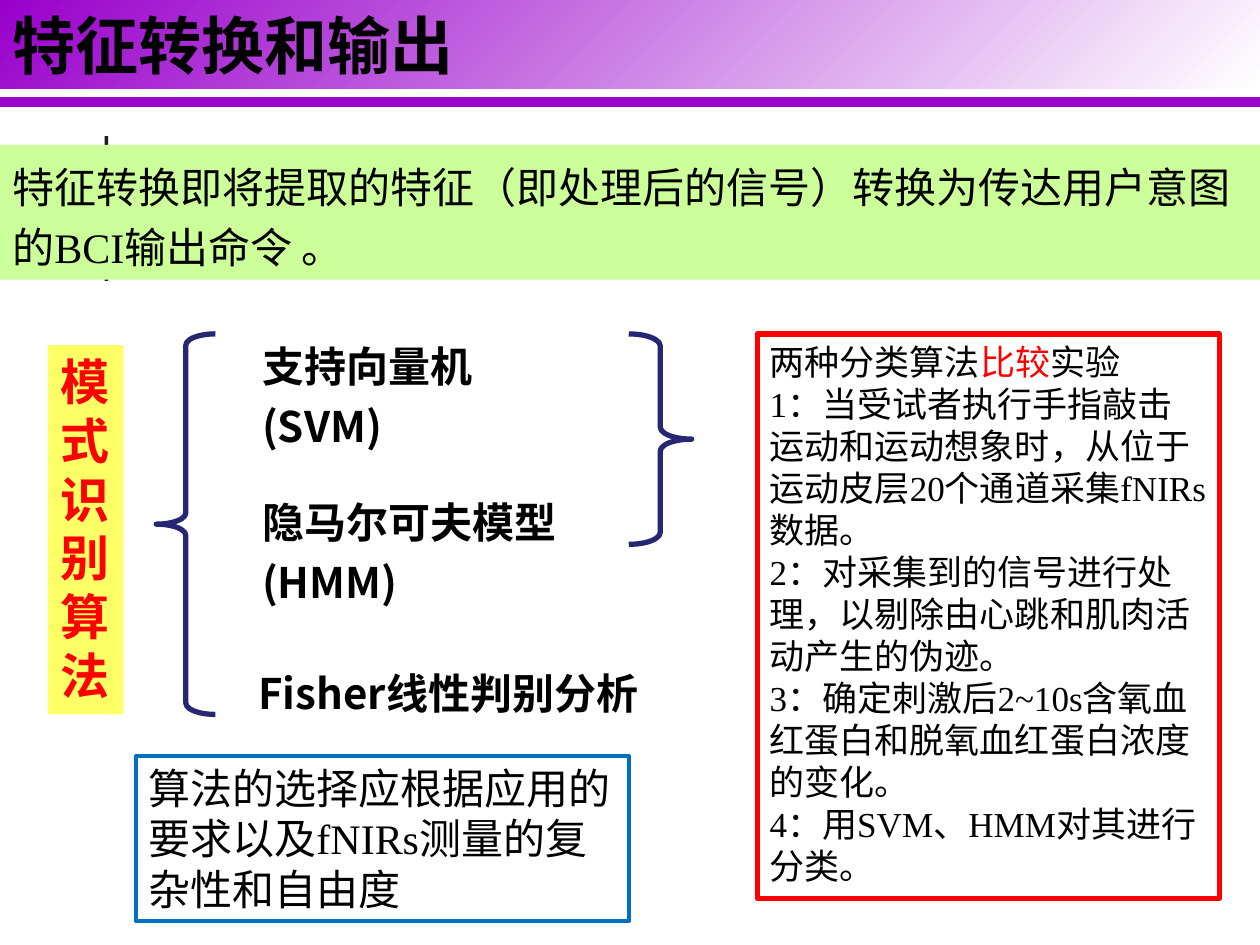
from lxml import etree
from pptx import Presentation
from pptx.dml.color import RGBColor
from pptx.enum.shapes import MSO_CONNECTOR as Connector, MSO_SHAPE as Shape
from pptx.enum.text import MSO_ANCHOR as Anchor, PP_ALIGN as Align
from pptx.oxml.ns import qn
from pptx.util import Inches, Pt

COLORS = {
    "black": "000000", "red": "FF0000", "purple": "9900CC", "white": "FFFFFF",
    "green": "CCFF99", "yellow": "FFFF66", "navy": "262673", "blue": "0070C0",
    "charcoal": "1C1C1C",
}
SERIF, SANS, ROBOTO = "Times New Roman", "Noto Sans CJK SC", "Roboto"

TITLE = "特征转换和输出"
DEFINITION = "特征转换即将提取的特征（即处理后的信号）转换为传达用户意图的BCI输出命令 。"
CATEGORY = "模式识别算法"
ALGORITHMS = [
    (1.93, 2.54, 1.02, ["支持向量机", "(SVM)"]),
    (1.93, 3.78, 0.75, ["隐马尔可夫模型", "(HMM)"]),
    (1.9, 5.14, 0.74, ["Fisher线性判别分析"]),
]
CHOICE = [[
    ("算法的选择应根据应用的要求以及", {"name": ROBOTO}),
    ("fNIRs", {"name": SERIF}),
    ("测量的复杂性和自由度", {"name": ROBOTO}),
]]
EXPERIMENT = [
    [("两种分类算法", {}), ("比较", {"color": "red"}), ("实验", {})],
    "1：当受试者执行手指敲击运动和运动想象时，从位于运动皮层20个通道采集fNIRs数据。",
    "2：对采集到的信号进行处理，以剔除由心跳和肌肉活动产生的伪迹。",
    "3：确定刺激后2~10s含氧血红蛋白和脱氧血红蛋白浓度的变化。",
    "4：用SVM、HMM对其进行分类。",
]
BRACES = [(1.24, 2.65, 0.47, 3.02, 0), (4.99, 2.65, 0.5, 1.67, 180)]


def rgb(name):
    return RGBColor.from_string(COLORS[name])


def add_box(slide, place, fill=None, line=None, width=0, kind=Shape.RECTANGLE):
    box = slide.shapes.add_shape(kind, *map(Inches, place))
    box.shadow.inherit = False
    if fill:
        box.fill.solid()
        box.fill.fore_color.rgb = rgb(fill)
    else:
        box.fill.background()
    if line:
        box.line.color.rgb = rgb(line)
        box.line.width = Pt(width)
    else:
        box.line.fill.background()
    return box


def write(box, paragraphs, size, name=SERIF, color="black", bold=False, spacing=None):
    frame = box.text_frame
    frame.word_wrap = True
    frame.vertical_anchor = Anchor.TOP
    for index, content in enumerate(paragraphs):
        para = frame.add_paragraph() if index else frame.paragraphs[0]
        para.alignment = Align.LEFT
        para.line_spacing = spacing
        para.font.size, para.font.bold = Pt(size), bold
        para.font.name, para.font.color.rgb = name, rgb(color)
        spans = [(content, {})] if isinstance(content, str) else content
        for text, style in spans:
            span = para.add_run()
            span.text = text
            if "name" in style:
                span.font.name = style["name"]
            if "color" in style:
                span.font.color.rgb = rgb(style["color"])


def add_header(slide):
    banner = add_box(slide, (0, 0, 10, 0.7))
    banner.fill.gradient()
    banner.fill.gradient_angle = 315
    for stop, color, position in zip(banner.fill.gradient_stops, ("purple", "white"), (0, 1)):
        stop.color.rgb = rgb(color)
        stop.position = position
    write(banner, [TITLE], 36, bold=True)
    rule = slide.shapes.add_connector(
        Connector.STRAIGHT, Inches(0), Inches(0.81), Inches(10), Inches(0.81))
    rule.line.color.rgb = rgb("purple")
    rule.line.width = Pt(6)
    etree.SubElement(rule.element.spPr, qn("a:effectLst"))


def main():
    deck = Presentation()
    deck.slide_width, deck.slide_height = Inches(10), Inches(7.5)
    slide = deck.slides.add_slide(deck.slide_layouts[6])

    add_box(slide, (0.83, 1.08, 0.03, 1.15), fill="charcoal")
    add_header(slide)
    definition = add_box(slide, (0, 1.15, 10, 1.07), fill="green")
    write(definition, [DEFINITION], 24, spacing=1.2)

    for *place, rotation in BRACES:
        brace = add_box(slide, place, line="navy", width=3, kind=Shape.LEFT_BRACE)
        brace.adjustments[0] = 0.19
        brace.rotation = rotation

    for left, top, height, lines in ALGORITHMS:
        box = slide.shapes.add_textbox(*map(Inches, (left, top, 3.78, height)))
        frame = box.text_frame
        frame.margin_left = frame.margin_right = Inches(0.15)
        frame.margin_top = frame.margin_bottom = Inches(0.08)
        write(box, lines, 24, name=SANS, bold=True, spacing=1.2)

    category = add_box(slide, (0.38, 2.74, 0.6, 2.93), fill="yellow")
    write(category, [CATEGORY], 28, color="red", bold=True)
    choice = add_box(slide, (1.08, 6, 3.91, 1.31), line="blue", width=2.25)
    write(choice, CHOICE, 24)
    experiment = add_box(slide, (6.01, 2.65, 3.67, 4.48), line="red", width=3)
    write(experiment, EXPERIMENT, 20)

    deck.save("out.pptx")


if __name__ == "__main__":
    main()
